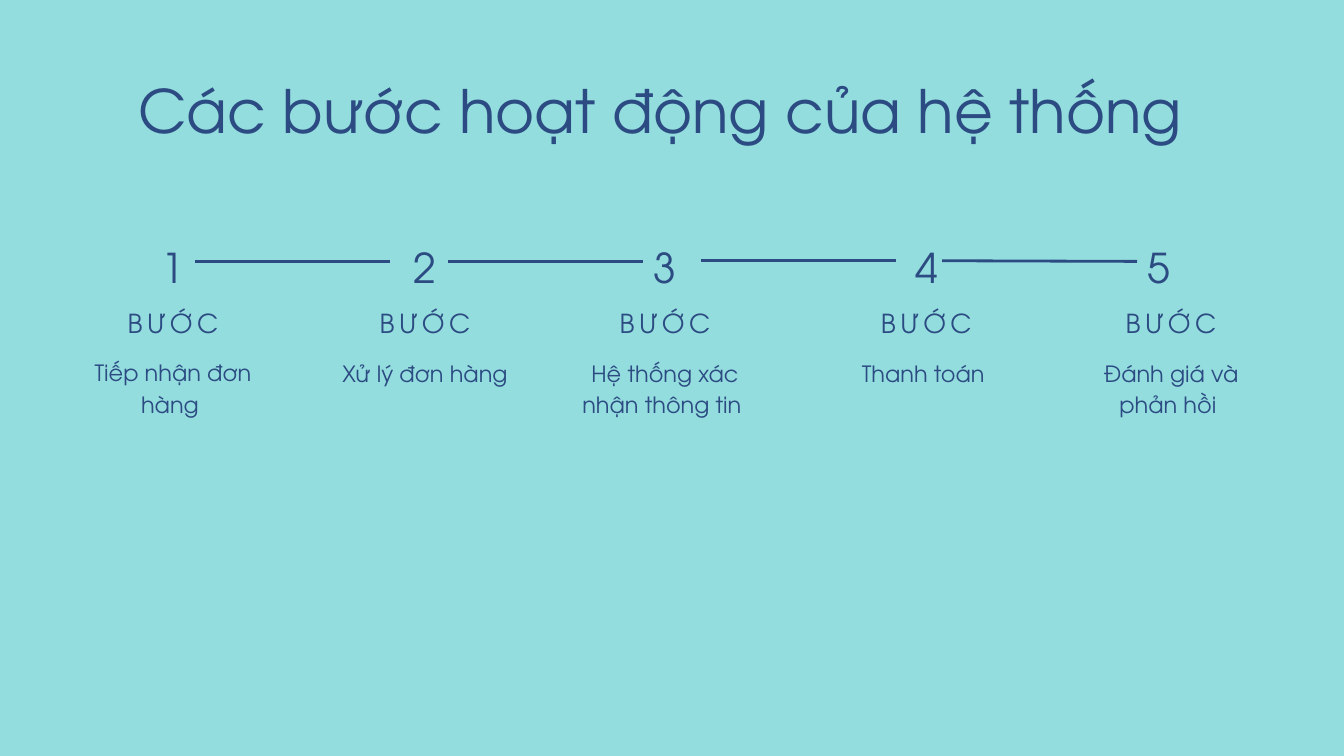
from pptx import Presentation
from pptx.dml.color import RGBColor
from pptx.enum.shapes import MSO_CONNECTOR
from pptx.enum.text import MSO_AUTO_SIZE, PP_ALIGN
from pptx.oxml.ns import qn
from pptx.util import Inches, Pt
from lxml import etree

AQUA = RGBColor(0x94, 0xDD, 0xDE)
NAVY = RGBColor(0x2B, 0x4B, 0x82)
FONT = "TeX Gyre Adventor"

NUMBER_TOP, NUMBER_WIDTH, NUMBER_HEIGHT = 3.48, 0.66, 0.82
LINE_LENGTH = 2.9
LEFT_SIDE, RIGHT_SIDE = 1, 3

# Description, column left, column width, description top and height, number left
STEPS = [
    ("Tiếp nhận đơn hàng ", 1.23, 2.69, 5.28, 0.94, 2.24),
    ("Xử lý đơn hàng", 5.01, 2.63, 5.29, 0.46, 6),
    ("Hệ thống xác nhận thông tin ", 8.55, 2.69, 5.29, 0.94, 9.57),
    ("Thanh toán ", 12.32, 2.93, 5.29, 0.46, 13.46),
    ("Đánh giá và phản hồi ", 16.08, 2.69, 5.29, 0.94, 16.92),
]
# Line left, line height on the slide, joined to the number before, to the one after
LINKS = [
    (2.9, 3.89, True, False),
    (6.67, 3.88, True, True),
    (10.43, 3.88, False, False),
    (14.02, 3.88, False, True),
]


def add_label(slide, box, wording, size, line_spacing, tracking=0):
    """Add centred text; box is left, top, width, height in inches, the rest points."""
    label = slide.shapes.add_textbox(*map(Inches, box))
    frame = label.text_frame
    frame.margin_left = frame.margin_top = frame.margin_right = frame.margin_bottom = 0
    frame.word_wrap = True
    frame.auto_size = MSO_AUTO_SIZE.SHAPE_TO_FIT_TEXT
    paragraph = frame.paragraphs[0]
    paragraph.alignment = PP_ALIGN.CENTER
    paragraph.line_spacing = Pt(line_spacing)
    run = paragraph.add_run()
    run.text = wording
    run.font.name = FONT
    run.font.size = Pt(size)
    run.font.color.rgb = NAVY
    if tracking:
        run._r.get_or_add_rPr().set("spc", str(round(tracking * 100)))
    return label


def add_step(slide, number, step):
    """Add one column of the timeline and return its number box."""
    description, left, width, top, height, number_left = step
    add_label(slide, (left, 4.49, width, 0.51), "BƯỚC", 28, 39.2, 4.8)
    add_label(slide, (left, top, width, height), description, 24, 33.6)
    number_box = (number_left, NUMBER_TOP, NUMBER_WIDTH, NUMBER_HEIGHT)
    return add_label(slide, number_box, str(number), 44, 61.6, 7.5)


def add_link(slide, link, before, after):
    left, height, joins_before, joins_after = link
    y = Inches(height)
    line = slide.shapes.add_connector(
        MSO_CONNECTOR.STRAIGHT, Inches(left), y, Inches(left + LINE_LENGTH), y)
    line.line.color.rgb = NAVY
    line.line.width = Pt(3)
    etree.SubElement(line._element.spPr, qn("a:effectLst"))
    if joins_before:
        line.begin_connect(before, RIGHT_SIDE)
    if joins_after:
        line.end_connect(after, LEFT_SIDE)


def add_timeline(slide):
    numbers = [add_step(slide, n, step) for n, step in enumerate(STEPS, 1)]
    for link, before, after in zip(LINKS, numbers, numbers[1:]):
        add_link(slide, link, before, after)


def main():
    deck = Presentation()
    deck.slide_width, deck.slide_height = Inches(20), Inches(11.25)
    slide = deck.slides.add_slide(deck.slide_layouts[6])
    slide.background.fill.solid()
    slide.background.fill.fore_color.rgb = AQUA
    add_label(slide, (1.12, 1.1, 17.65, 1.09),
              "Các bước hoạt động của hệ thống ", 64, 76.8)
    add_timeline(slide)
    deck.save("out.pptx")


if __name__ == "__main__":
    main()
